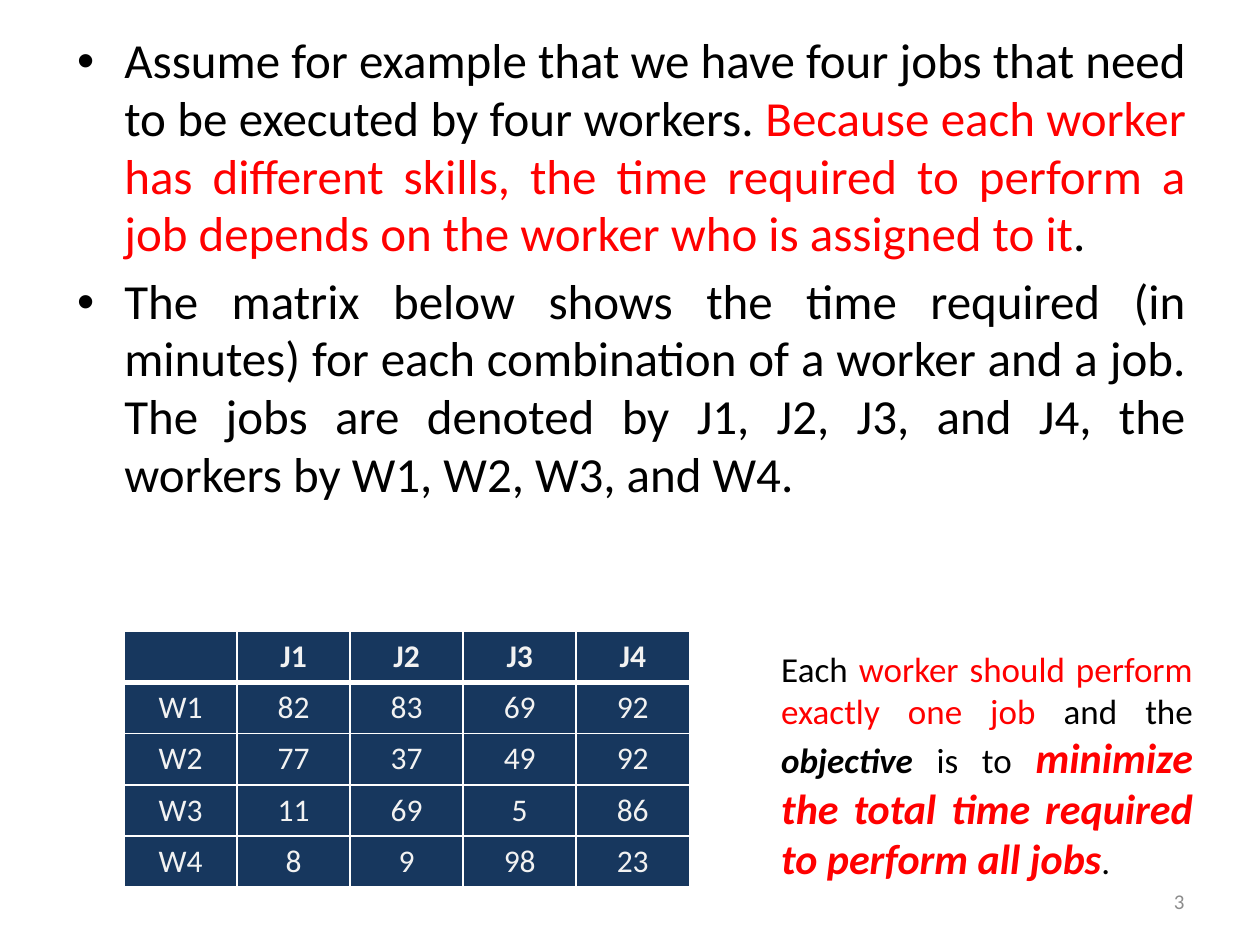
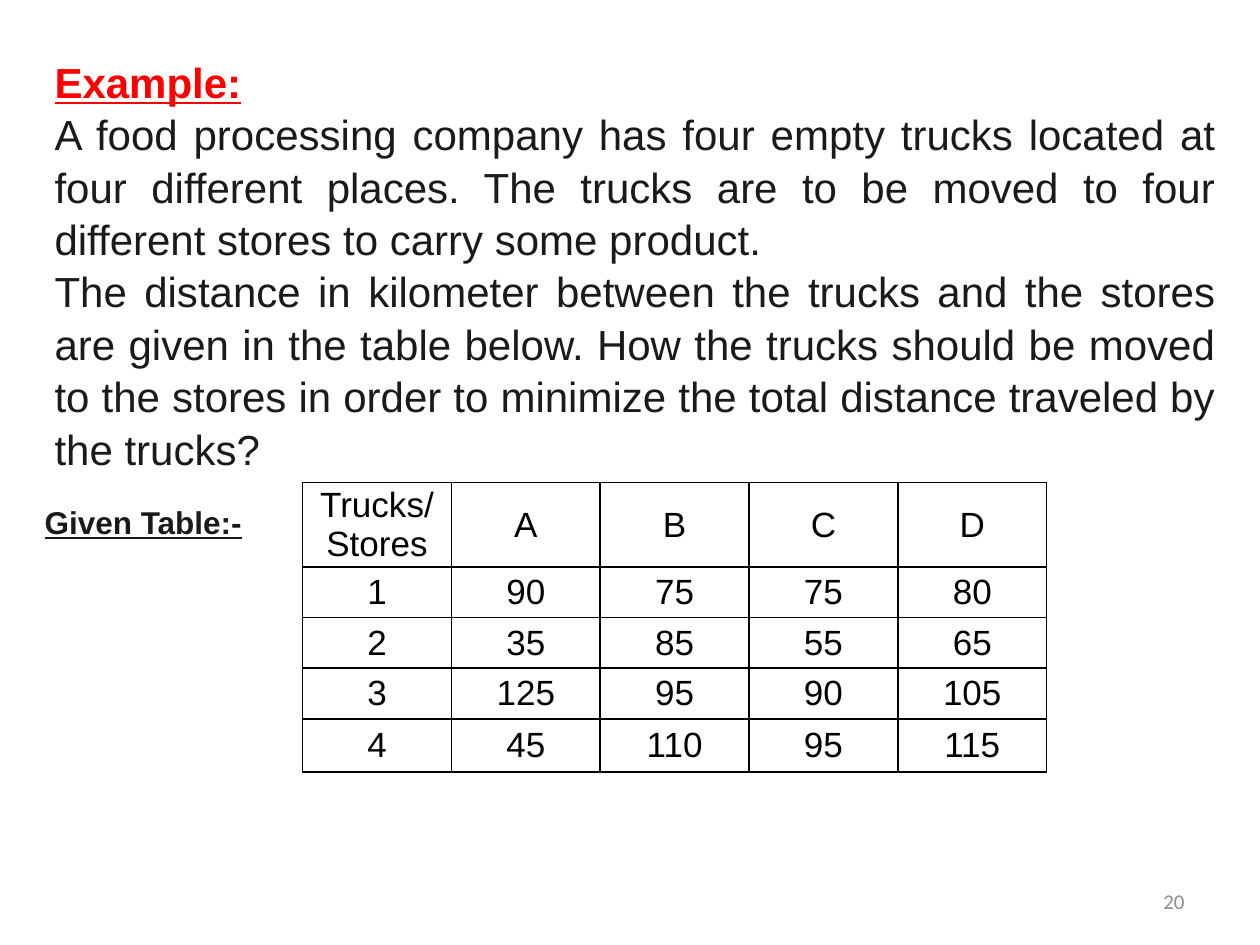
import pptx
import pptx.dml.color
import pptx.enum.shapes
import pptx.enum.text
import pptx.oxml.ns
import pptx.util
from lxml import etree

Cm = pptx.util.Cm
Pt = pptx.util.Pt
RGBColor = pptx.dml.color.RGBColor
ALIGN = pptx.enum.text.PP_ALIGN
ANCHOR = pptx.enum.text.MSO_ANCHOR
qualified_name = pptx.oxml.ns.qn

BLACK = RGBColor(0x00, 0x00, 0x00)
WHITE = RGBColor(0xFF, 0xFF, 0xFF)
RED = RGBColor(0xFF, 0x00, 0x00)
NAVY = RGBColor(0x17, 0x37, 0x5E)
PALE = RGBColor(0xF2, 0xF2, 0xF2)
CHARCOAL = RGBColor(0x1A, 0x1A, 0x1A)
GREY = RGBColor(0x8C, 0x8C, 0x8C)

BODY = {"name": "Calibri", "size": Pt(28), "color": BLACK}
NOTE = {"name": "Calibri", "size": Pt(20), "color": BLACK}
STRONG = {"bold": True, "italic": True}
TIMES = {"name": "Calibri", "size": Pt(18), "color": PALE}
DISTANCES = {"name": "Arial", "size": Pt(20), "color": BLACK, "bold": False}
PROBLEM = {"name": "Arial", "size": Pt(24), "color": CHARCOAL}
HEADING = {"bold": True, "underline": True}
PAGE_NUMBER = {"name": "Calibri", "size": Pt(12), "color": GREY}


def write_runs(paragraph, alignment, style, runs):
    paragraph.alignment = alignment
    for text, changes in runs:
        run = paragraph.add_run()
        run.text = text
        for attribute, value in {**style, **changes}.items():
            if attribute == "color":
                run.font.color.rgb = value
            else:
                setattr(run.font, attribute, value)


def add_grid(slide, left, top, column_width, row_heights, rows, look):
    frame = slide.shapes.add_table(len(rows), len(rows[0]), left, top,
                                   column_width * len(rows[0]), sum(row_heights))
    table = frame.table
    for column in table.columns:
        column.width = column_width
    for row_index, values in enumerate(rows):
        table.rows[row_index].height = row_heights[row_index]
        for column_index, value in enumerate(values):
            cell = table.cell(row_index, column_index)
            properties = cell._tc.get_or_add_tcPr()
            for side in "LRTB":
                thick = (row_index, side) in ((0, "B"), (1, "T"))
                width = Pt(look["header_line"] if thick else 1)
                line = etree.SubElement(properties, qualified_name(f"a:ln{side}"), w=str(width))
                fill = etree.SubElement(line, qualified_name("a:solidFill"))
                etree.SubElement(fill, qualified_name("a:srgbClr"), val=str(look["line"]))
            cell.fill.solid()
            cell.fill.fore_color.rgb = look["fill"]
            for attribute, setting in look["cell"].items():
                setattr(cell, attribute, setting)
            for line_index, text in enumerate(str(value).split("\n")):
                text_frame = cell.text_frame
                paragraph = text_frame.add_paragraph() if line_index else text_frame.paragraphs[0]
                header = {"bold": look["bold_header"] and row_index == 0}
                write_runs(paragraph, ALIGN.CENTER, look["text"], [(text, header)] if text else [])


presentation = pptx.Presentation()
presentation.slide_width = Cm(25.4)
presentation.slide_height = Cm(19.05)
layouts = presentation.slide_layouts

jobs_slide = presentation.slides.add_slide(layouts.get_by_name("Title and Content"))
title = jobs_slide.shapes.title
title.element.getparent().remove(title.element)
body = jobs_slide.placeholders[1]
body_format = {"left": Cm(1.3), "top": Cm(0.53), "width": Cm(22.86), "height": Cm(17.6)}
for attribute, value in body_format.items():
    setattr(body, attribute, value)
body.text_frame.auto_size = pptx.enum.text.MSO_AUTO_SIZE.NONE
bullets = [
    [("Assume for example that we have four jobs that need to be executed by four workers. ", {}),
     ("Because each worker has different skills, the time required to perform a job depends "
      "on the worker who is assigned to it", {"color": RED}),
     (".", {})],
    [("The matrix below shows the time required (in minutes) for each combination of a worker "
      "and a job. The jobs are denoted by J1, J2, J3, and J4, the workers by W1, W2, W3, and W4.", {})],
]
for index, runs in enumerate(bullets):
    paragraph = body.text_frame.add_paragraph() if index else body.text_frame.paragraphs[0]
    paragraph.line_spacing = 0.98
    paragraph.space_before = Pt(5.6 if index else 0)
    write_runs(paragraph, ALIGN.JUSTIFY, BODY, runs)

times = [
    ["", "J1", "J2", "J3", "J4"],
    ["W1", 82, 83, 69, 92],
    ["W2", 77, 37, 49, 92],
    ["W3", 11, 69, 5, 86],
    ["W4", 8, 9, 98, 23],
]
times_look = {"line": WHITE, "header_line": 3, "fill": NAVY, "text": TIMES,
              "bold_header": True, "cell": {}}
add_grid(jobs_slide, Cm(2.5), Cm(12.73), Cm(2.28), [Cm(1.02)] * 5, times, times_look)

objective = jobs_slide.shapes.add_textbox(Cm(15.5), Cm(12.93), Cm(8.8), Cm(5.05))
objective.text_frame.word_wrap = True
write_runs(objective.text_frame.paragraphs[0], ALIGN.JUSTIFY, NOTE, [
    ("Each ", {}),
    ("worker should perform exactly one job", {"color": RED}),
    (" and the ", {}),
    ("objective", STRONG),
    (" is to ", {}),
    ("minimize the total time required to perform all jobs",
     {**STRONG, "size": Pt(24), "color": RED}),
    (".", {}),
])

trucks_slide = presentation.slides.add_slide(layouts.get_by_name("Blank"))
panels = [
    (Cm(1.1), Cm(1.22), Cm(23.4), Cm(8.2), ANCHOR.MIDDLE, 1.04, ALIGN.JUSTIFY, PROBLEM, [
        ("Example:", {**HEADING, "color": RED}),
        ("A food processing company has four empty trucks located at four different places. "
         "The trucks are to be moved to four different stores to carry some product.", {}),
        ("The distance in kilometer between the trucks and the stores are given in the table "
         "below. How the trucks should be moved to the stores in order to minimize the total "
         "distance traveled by the trucks?", {}),
    ]),
    (Cm(0.9), Cm(10.14), Cm(4.6), Cm(2.2), ANCHOR.TOP, 1.0, ALIGN.LEFT, PROBLEM, [
        ("Given Table:-", {**HEADING, "size": Pt(18)}),
    ]),
]
for left, top, width, height, anchor, spacing, alignment, style, lines in panels:
    shape = trucks_slide.shapes.add_shape(
        pptx.enum.shapes.MSO_SHAPE.RECTANGLE, left, top, width, height)
    shape.shadow.inherit = False
    shape.fill.solid()
    shape.fill.fore_color.rgb = WHITE
    shape.line.fill.background()
    frame_format = {"word_wrap": True, "vertical_anchor": anchor, "margin_left": 0,
                    "margin_top": 0, "margin_right": 0, "margin_bottom": 0}
    for attribute, value in frame_format.items():
        setattr(shape.text_frame, attribute, value)
    for index, line in enumerate(lines):
        paragraph = shape.text_frame.add_paragraph() if index else shape.text_frame.paragraphs[0]
        paragraph.line_spacing = spacing
        write_runs(paragraph, alignment, style, [line])

distances = [
    ["Trucks/\nStores", "A", "B", "C", "D"],
    [1, 90, 75, 75, 80],
    [2, 35, 85, 55, 65],
    [3, 125, 95, 90, 105],
    [4, 45, 110, 95, 115],
]
distances_look = {"line": BLACK, "header_line": 1, "fill": WHITE, "text": DISTANCES,
                  "bold_header": False,
                  "cell": {"vertical_anchor": ANCHOR.MIDDLE, "margin_left": Cm(0.18),
                           "margin_right": Cm(0.18), "margin_top": 0, "margin_bottom": 0}}
add_grid(trucks_slide, Cm(6.1), Cm(9.73), Cm(3),
         [Cm(1.7), Cm(1.02), Cm(1.02), Cm(1.02), Cm(1.07)], distances, distances_look)

for slide, number in ((jobs_slide, "3"), (trucks_slide, "20")):
    page_number = slide.shapes.add_textbox(Cm(18.2), Cm(17.66), Cm(5.93), Cm(1.01))
    page_number.text_frame.word_wrap = True
    page_number.text_frame.vertical_anchor = ANCHOR.MIDDLE
    write_runs(page_number.text_frame.paragraphs[0], ALIGN.RIGHT, PAGE_NUMBER, [(number, {})])

presentation.save("out.pptx")
